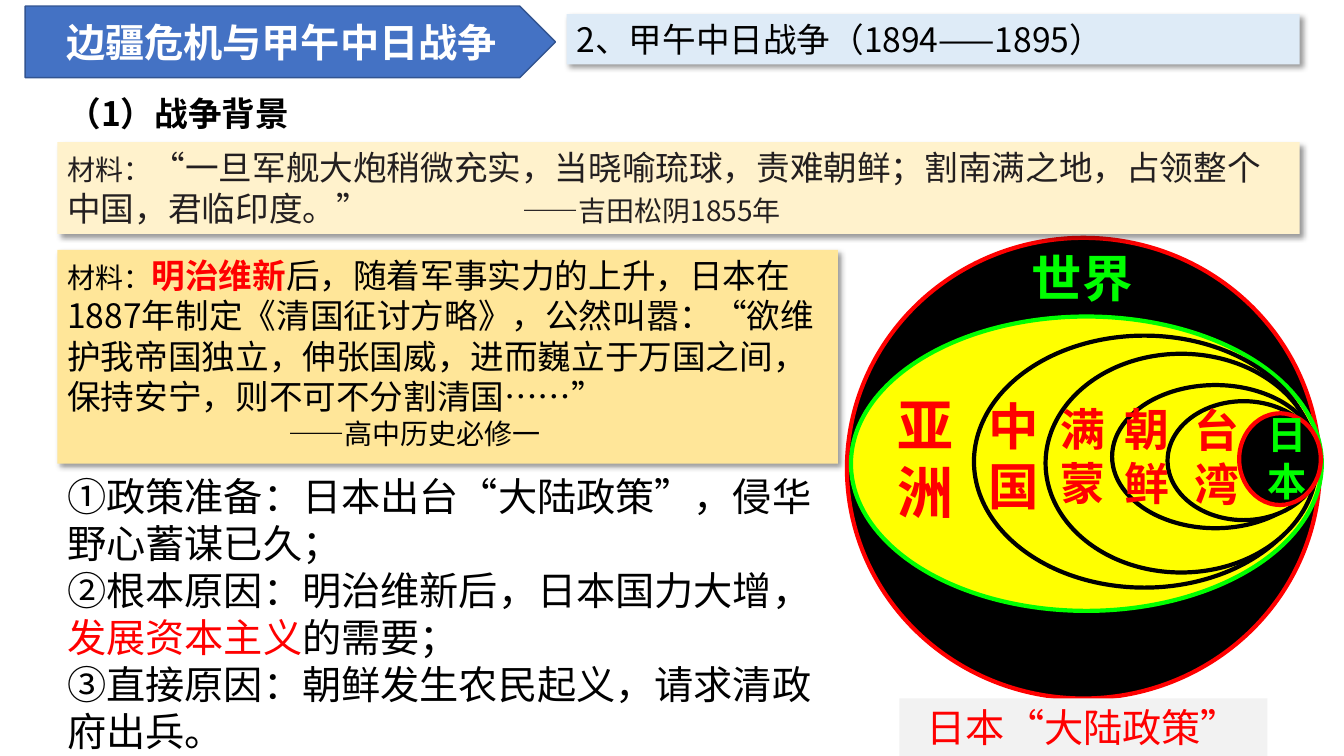
from lxml.etree import SubElement
from pptx import Presentation
from pptx.dml.color import RGBColor
from pptx.enum.shapes import MSO_SHAPE
from pptx.enum.text import MSO_ANCHOR, PP_ALIGN
from pptx.oxml.ns import qn
from pptx.util import Emu, Pt

PX = 9144  # 100 px to the inch
FONT = "Noto Sans CJK SC"
LINE_HEIGHT = 1.2
COLORS = {
    "black": "000000", "white": "FFFFFF", "ink": "231F20",
    "red": "FF0000", "green": "00FF00", "yellow": "FFFF00",
    "blue": "4472C4", "navy": "325491", "sky": "DEEBF7",
    "cream": "FFF2CC", "gold": "FFE699", "grey": "F2F2F2",
}


def add_block(preset, box, fill, line=None, line_width=3):
    block = slide.shapes.add_shape(preset, *[Emu(v * PX) for v in box])
    block.shadow.inherit = False
    block.fill.solid()
    block.fill.fore_color.rgb = RGBColor.from_string(COLORS[fill])
    if line:
        block.line.color.rgb = RGBColor.from_string(COLORS[line])
        block.line.width = Pt(line_width)
    else:
        block.line.fill.background()
    return block


def write(holder, paragraphs, align=PP_ALIGN.LEFT, anchor=MSO_ANCHOR.TOP):
    """Each paragraph is a list of (text, size, color, bold) runs."""
    frame = holder.text_frame
    frame.word_wrap = True
    frame.vertical_anchor = anchor
    for index, pieces in enumerate(paragraphs):
        paragraph = frame.add_paragraph() if index else frame.paragraphs[0]
        paragraph.alignment = align
        paragraph.line_spacing = Pt(LINE_HEIGHT * max(p[1] for p in pieces))
        for text, size, color, bold in pieces:
            run = paragraph.add_run()
            run.text = text
            run.font.name = FONT
            run.font.size = Pt(size)
            run.font.bold = bold
            run.font.color.rgb = RGBColor.from_string(COLORS[color])
            SubElement(run.font._element, qn("a:ea")).set("typeface", FONT)
    return frame.paragraphs


deck = Presentation()
deck.slide_width = Emu(1333 * PX)
deck.slide_height = Emu(750 * PX)
slide = deck.slides.add_slide(deck.slide_layouts[6])

# Nested spheres, from the world down to Japan
for box, fill, line in [
    ((840, 236, 469, 457), "black", "red"),
    ((844, 314, 467, 292), "yellow", "green"),
    ((966, 333, 338, 250), "yellow", "black"),
    ((1037, 351, 269, 217), "yellow", "black"),
    ((1103, 382, 205, 142), "yellow", "black"),
    ((1158, 398, 151, 118), "yellow", "black"),
    ((1229, 410, 81, 91), "black", "red"),
]:
    add_block(MSO_SHAPE.OVAL, box, fill, line)

# Text without a panel: sphere labels, causes and section heading
causes = [
    [("①政策准备：日本出台“大陆政策”，侵华野心蓄谋已久；", 28, "black", False)],
    [("②根本原因：明治维新后，日本国力大增，", 28, "black", False),
     ("发展资本主义", 28, "red", False),
     ("的需要；", 28, "black", False)],
    [("③直接原因：朝鲜发生农民起义，请求清政府出兵。", 28, "black", False)],
]
for box, paragraphs, align in [
    ((1247, 402, 85, 104), [[("日本", 28, "green", True)]], PP_ALIGN.LEFT),
    ((965, 240, 217, 71), [[("世界", 36, "green", True)]], PP_ALIGN.CENTER),
    ((880, 382, 74, 145), [[("亚洲", 40, "red", True)]], PP_ALIGN.LEFT),
    ((971, 387, 50, 131), [[("中国", 36, "red", True)]], PP_ALIGN.LEFT),
    ((1042, 394, 62, 118), [[("满蒙", 32, "red", True)]], PP_ALIGN.LEFT),
    ((1105, 394, 44, 118), [[("朝鲜", 32, "red", True)]], PP_ALIGN.LEFT),
    ((1175, 395, 57, 118), [[("台湾", 32, "red", True)]], PP_ALIGN.LEFT),
    ((57, 464, 774, 286), causes, PP_ALIGN.LEFT),
    ((57, 87, 1232, 50), [[("（1）战争背景", 24, "black", True)]], PP_ALIGN.LEFT),
]:
    label = slide.shapes.add_textbox(*[Emu(v * PX) for v in box])
    write(label, paragraphs, align)

# Caption under the spheres
caption = add_block(MSO_SHAPE.RECTANGLE, (892, 693, 365, 57), "grey")
write(caption, [[("日本“大陆政策”", 28, "red", False)]], PP_ALIGN.CENTER)

# Chapter banner
banner = add_block(MSO_SHAPE.PENTAGON, (25, 6, 526, 71), "blue", "navy", 1)
write(banner, [[("边疆危机与甲午中日战争", 28, "white", True)]],
      PP_ALIGN.CENTER, MSO_ANCHOR.MIDDLE)

# Topic and source cards with a soft shadow
topic = [[("2、甲午中日战争（1894——1895）", 24, "black", False)]]
yoshida_quote = [[
    ("材料：", 20, "ink", False),
    ("“一旦军舰大炮稍微充实，当晓喻琉球，责难朝鲜；割南满之地，"
     "占领整个中国，君临印度。”\t", 24, "ink", False),
    ("——吉田松阴1855年", 20, "ink", False),
]]
plan_quote = [
    [("材料：", 20, "black", False),
     ("明治维新", 24, "red", True),
     ("后，随着军事实力的上升，日本在1887年制定《清国征讨方略》，"
      "公然叫嚣：“欲维护我帝国独立，伸张国威，进而巍立于万国之间，"
      "保持安宁，则不可不分割清国……”", 24, "black", False)],
    [("——高中历史必修一", 20, "black", False)],
]
card_paragraphs = []
for box, fill, paragraphs in [
    ((562, 14, 727, 50), "sky", topic),
    ((57, 141, 1232, 91), "cream", yoshida_quote),
    ((57, 248, 774, 212), "gold", plan_quote),
]:
    card = add_block(MSO_SHAPE.RECTANGLE, box, fill)
    effects = card._element.spPr.find(qn("a:effectLst"))
    shadow = SubElement(effects, qn("a:outerShdw"), blurRad=str(Pt(4)),
                        dist=str(Pt(3)), dir="2700000", algn="tl",
                        rotWithShape="0")
    shade = SubElement(shadow, qn("a:srgbClr"), val=COLORS["black"])
    SubElement(shade, qn("a:alpha"), val="40000")
    card_paragraphs.append(write(card, paragraphs))

# Place the two attributions by tab stop and by indent
yoshida_props = card_paragraphs[1][0]._p.get_or_add_pPr()
tab_stops = SubElement(yoshida_props, qn("a:tabLst"))
SubElement(tab_stops, qn("a:tab"), pos=str(451 * PX), algn="l")
textbook_props = card_paragraphs[2][1]._p.get_or_add_pPr()
textbook_props.set("marL", str(219 * PX))
textbook_props.set("indent", "0")

deck.save("out.pptx")
